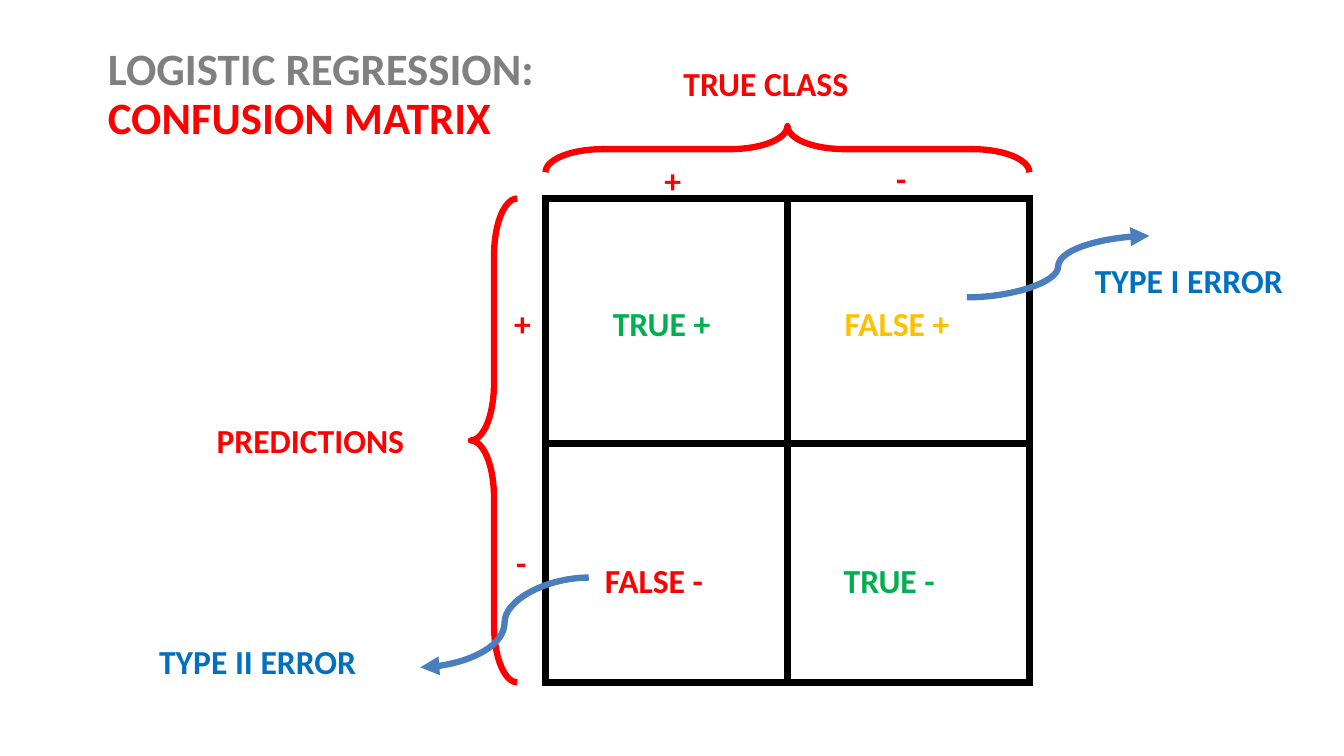
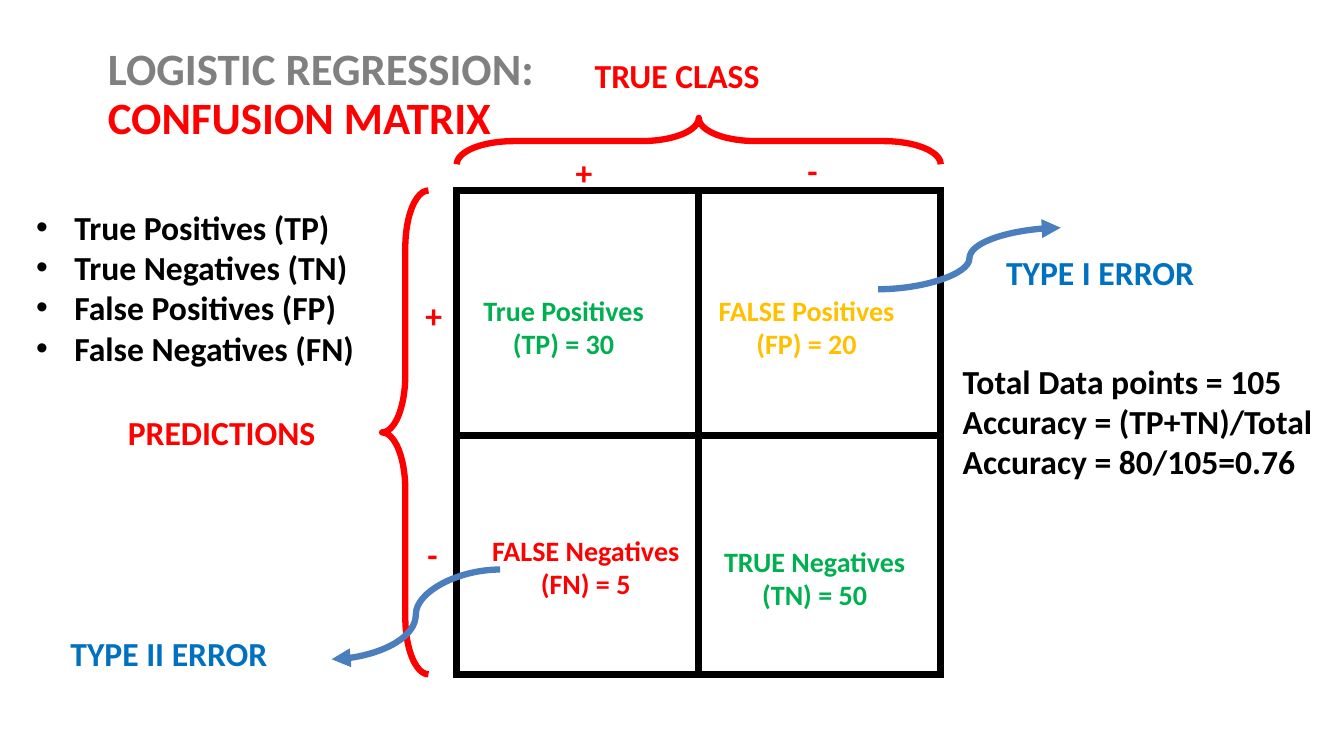
from lxml.etree import SubElement
from pptx import Presentation
from pptx.dml.color import RGBColor
from pptx.enum.shapes import MSO_CONNECTOR as Connector, MSO_SHAPE as Shape
from pptx.enum.text import MSO_ANCHOR as Anchor, PP_ALIGN as Align
from pptx.oxml import parse_xml
from pptx.oxml.ns import nsdecls, qn
from pptx.util import Inches, Pt

COLORS = {
    "gray": "808080", "red": "FF0000", "green": "00B050", "amber": "FFC000",
    "blue": "0070C0", "arrow": "4B7EBC", "black": "000000",
}
FONT = "Calibri"
MATRIX_SIZE = 4.8
BRACE_DEPTH = 0.46


class ConfusionDeck:
    """Holds the shared style, the current slide and the corner of its matrix."""

    def __init__(self):
        self.presentation = Presentation()
        self.presentation.slide_width = Inches(13.33)
        self.presentation.slide_height = Inches(7.5)

    def color(self, name):
        return RGBColor.from_string(COLORS[name])

    def new_slide(self, left, top):
        layout = self.presentation.slide_layouts[6]
        self.slide = self.presentation.slides.add_slide(layout)
        self.left, self.top = left, top
        self.title()
        self.matrix()

    def run(self, paragraph, text, color, size):
        run = paragraph.add_run()
        run.text = text
        run.font.name = FONT
        run.font.size = Pt(size)
        run.font.bold = True
        run.font.color.rgb = self.color(color)

    def box(self, left, top, width, height):
        box = self.slide.shapes.add_textbox(
            Inches(left), Inches(top), Inches(width), Inches(height))
        box.text_frame.word_wrap = True
        return box.text_frame

    def title(self):
        frame = self.box(1, 0.4, 5, 1.09)
        frame.vertical_anchor = Anchor.MIDDLE
        frame.margin_left = frame.margin_right = Inches(0.07)
        frame.margin_top = frame.margin_bottom = Inches(0.04)
        paragraph = frame.paragraphs[0]
        paragraph.line_spacing = 0.9
        self.run(paragraph, "LOGISTIC REGRESSION: ", "gray", 32)
        self.run(paragraph, "CONFUSION MATRIX", "red", 32)

    def text(self, left, top, lines, color, width=2.5, size=24,
             align=Align.LEFT, bullet=False):
        frame = self.box(left, top, width, 0.1 + len(lines) * size / 60)
        for index, line in enumerate(lines):
            paragraph = frame.add_paragraph() if index else frame.paragraphs[0]
            paragraph.alignment = align
            if bullet:
                self.bullet(paragraph)
            self.run(paragraph, line, color, size)

    def bullet(self, paragraph):
        properties = paragraph._p.get_or_add_pPr()
        indent = Inches(0.38)
        properties.set("marL", str(indent))
        properties.set("indent", str(-indent))
        SubElement(properties, qn("a:buFont")).set("typeface", "Arial")
        SubElement(properties, qn("a:buChar")).set("char", "•")

    def label(self, x, y, *lines, color="red", **style):
        self.text(self.left + x, self.top + y, lines, color, **style)

    def grid(self):
        table = self.slide.shapes.add_table(
            2, 2, Inches(self.left), Inches(self.top),
            Inches(MATRIX_SIZE), Inches(MATRIX_SIZE)).table
        table.first_row = table.horz_banding = False
        for row, height in zip(table.rows, (2.43, 2.37)):
            row.height = Inches(height)
        for cell in table.iter_cells():
            properties = cell._tc.get_or_add_tcPr()
            for side in ("lnL", "lnR", "lnT", "lnB"):
                properties.append(parse_xml(
                    f'<a:{side} {nsdecls("a")} w="{Pt(6)}"><a:solidFill>'
                    f'<a:srgbClr val="{COLORS["black"]}"/></a:solidFill></a:{side}>'))
            cell.fill.background()

    def brace(self, x, y, rotation=0):
        brace = self.slide.shapes.add_shape(
            Shape.LEFT_BRACE, Inches(self.left + x), Inches(self.top + y),
            Inches(BRACE_DEPTH), Inches(MATRIX_SIZE))
        brace.rotation = rotation
        brace.adjustments[0] = 1.237
        brace.shadow.inherit = False
        brace.fill.background()
        brace.line.color.rgb = self.color("red")
        brace.line.width = Pt(4.5)

    def arrow(self, start, end):
        points = [Inches(origin + offset) for point in (start, end)
                  for origin, offset in zip((self.left, self.top), point)]
        arrow = self.slide.shapes.add_connector(Connector.CURVE, *points)
        arrow.line.color.rgb = self.color("arrow")
        arrow.line.width = Pt(4.5)
        SubElement(arrow.line._get_or_add_ln(), qn("a:tailEnd")).set("type", "triangle")
        SubElement(arrow._element.spPr, qn("a:effectLst"))

    def matrix(self):
        self.grid()
        self.brace(-0.74, 0)
        self.brace((MATRIX_SIZE - BRACE_DEPTH) / 2, -2.89, 90)
        self.label(-3.36, 2.15, "PREDICTIONS")
        self.label(1.27, -1.39, "TRUE CLASS")
        for x, y, sign in ((-0.41, 0.99, "+"), (-0.39, 3.36, "-"),
                           (1.08, -0.43, "+"), (3.38, -0.45, "-")):
            self.label(x, y, sign, width=0.4)
        self.arrow((0.43, 3.76), (-1.24, 4.65))
        self.arrow((4.18, 0.98), (5.99, 0.37))
        self.label(-3.93, 4.34, "TYPE II ERROR", color="blue")
        self.label(5.35, 0.56, "TYPE I ERROR", color="blue")


def main():
    deck = ConfusionDeck()

    deck.new_slide(5.41, 1.97)
    for x, y, outcome, color in (
            (0.57, 0.99, "TRUE +", "green"), (2.87, 0.99, "FALSE +", "amber"),
            (0.49, 3.54, "FALSE -", "red"), (2.86, 3.54, "TRUE -", "green")):
        deck.label(x, y, outcome, color=color, width=1.6)

    deck.new_slide(4.53, 1.89)
    for x, y, outcome, count, color in (
            (0.02, 0.97, "True Positives", "(TP) = 30", "green"),
            (2.43, 0.97, "FALSE Positives", "(FP) = 20", "amber"),
            (0.24, 3.35, "FALSE Negatives", "(FN) = 5", "red"),
            (2.51, 3.46, "TRUE Negatives", "(TN) = 50", "green")):
        deck.label(x, y, outcome, count, color=color, width=2.08, size=20,
                   align=Align.CENTER)
    deck.text(0.26, 2, ("True Positives (TP)", "True Negatives (TN)",
                        "False Positives (FP)", "False Negatives (FN)"),
              "black", width=3.39, bullet=True)
    deck.text(9.45, 3.53, ("Total Data points = 105", "Accuracy = (TP+TN)/Total",
                           "Accuracy = 80/105=0.76"), "black", width=3.78)

    deck.presentation.save("out.pptx")


if __name__ == "__main__":
    main()
